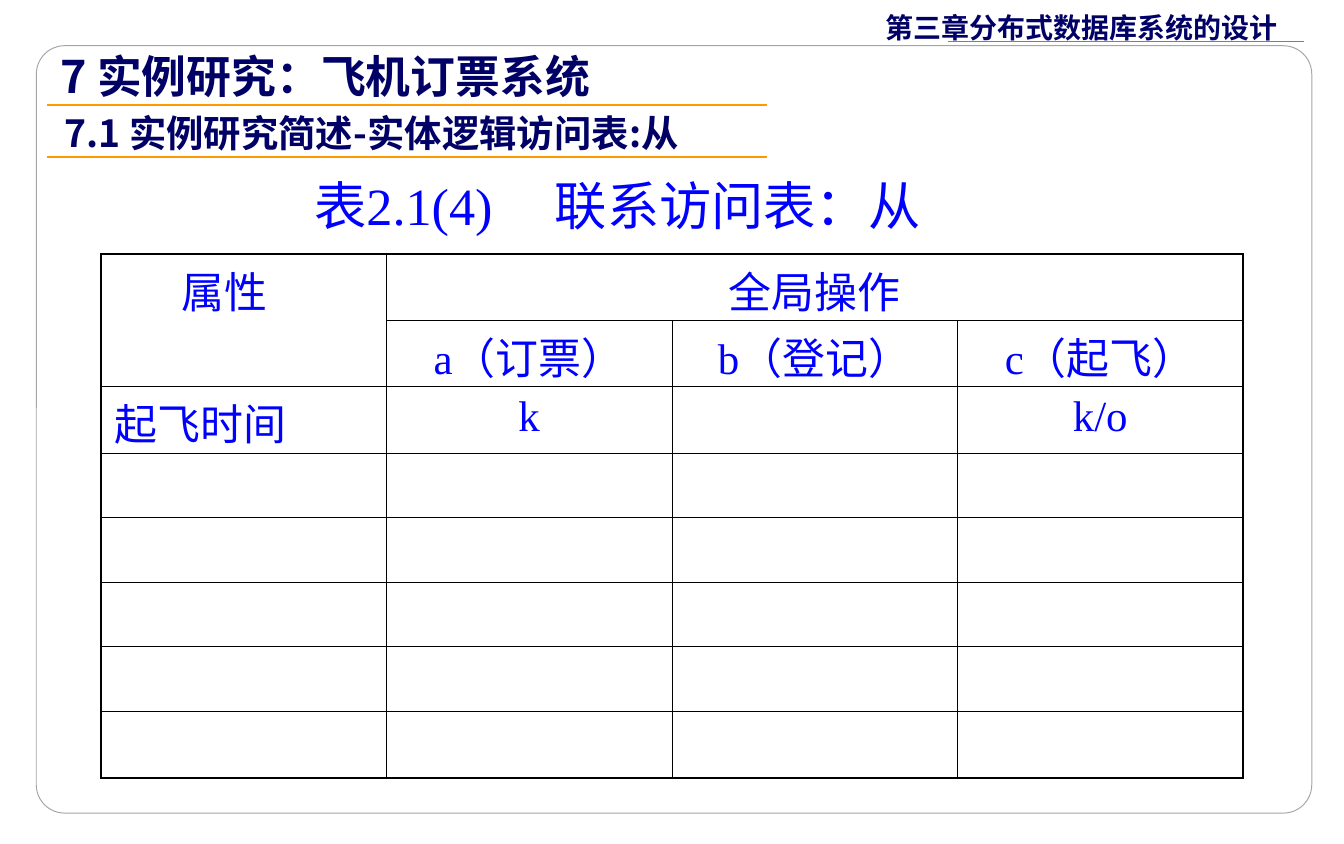
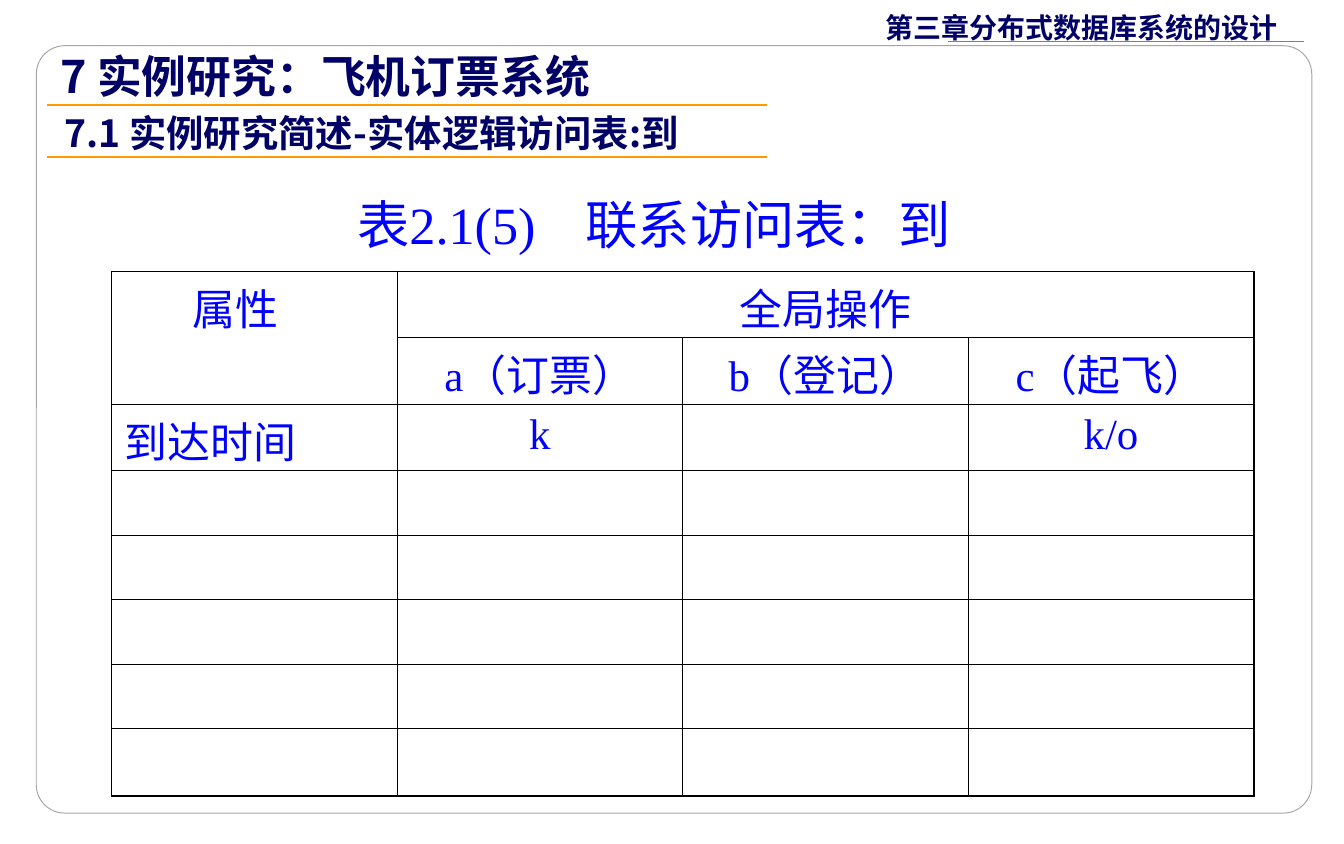
from lxml.etree import SubElement
from pptx import Presentation
from pptx.dml.color import RGBColor
from pptx.enum.shapes import MSO_CONNECTOR, MSO_SHAPE
from pptx.enum.text import MSO_ANCHOR, MSO_AUTO_SIZE, PP_ALIGN
from pptx.oxml.ns import qn
from pptx.util import Inches, Pt

NAVY = RGBColor(0x00, 0x00, 0x66)
BLUE = RGBColor(0x00, 0x00, 0xFF)
ORANGE = RGBColor(0xFF, 0x99, 0x00)
GRAY = RGBColor(0x7F, 0x7F, 0x7F)
SILVER = RGBColor(0xA5, 0xA5, 0xA5)
WHITE = RGBColor(0xFF, 0xFF, 0xFF)
SANS = "Noto Sans CJK SC"
SERIF = "Times New Roman"

ROWS, COLS = 8, 4
HEADS = ["a（订票）", "b（登记）", "c（起飞）"]
MARKS = ["k", "", "k/o"]


def add_run(para, text, size, color, face, bold=False):
    run = para.add_run()
    run.text = text
    font = run.font
    font.size = Pt(size)
    font.bold = bold
    font.name = face
    font.color.rgb = color
    SubElement(run._r.get_or_add_rPr(), qn("a:ea"), typeface=SANS)


def set_frame(shape, box, side=0.1):
    shape.left, shape.top, shape.width, shape.height = map(Inches, box)
    frame = shape.text_frame
    frame.word_wrap = True
    frame.auto_size = MSO_AUTO_SIZE.NONE
    frame.vertical_anchor = MSO_ANCHOR.MIDDLE
    frame.margin_left = frame.margin_right = Inches(side)
    frame.margin_top = frame.margin_bottom = Inches(0.05)
    para = frame.paragraphs[0]
    para.alignment = PP_ALIGN.LEFT
    return para


def add_text(slide, box, side=0.1):
    shape = slide.shapes.add_textbox(*map(Inches, box))
    return set_frame(shape, box, side)


def add_rule(slide, start, end, y, color, width):
    rule = slide.shapes.add_connector(
        MSO_CONNECTOR.STRAIGHT, Inches(start), Inches(y), Inches(end), Inches(y))
    rule.line.color.rgb = color
    rule.line.width = Pt(width)
    SubElement(rule.element.spPr, qn("a:effectLst"))


def add_panel(slide):
    panel = slide.shapes.add_shape(
        MSO_SHAPE.ROUNDED_RECTANGLE, *map(Inches, (0.27, 0.34, 9.49, 5.71)))
    panel.adjustments[0] = 0.037
    panel.shadow.inherit = False
    panel.fill.solid()
    panel.fill.fore_color.rgb = WHITE
    SubElement(panel.element.find(".//" + qn("a:srgbClr")), qn("a:alpha"), val="85000")
    panel.line.color.rgb = SILVER
    panel.line.width = Pt(0.5)


def dress_layout(layout, slide):
    for holder in list(layout.placeholders)[1:]:
        holder.element.getparent().remove(holder.element)
    add_panel(slide)
    para = add_text(slide, (6.5, 0.03, 3.15, 0.34), 0.09)
    add_run(para, "第三章", 15, NAVY, SANS, True)
    add_run(para, "分布式数据库系统的设计", 15, NAVY, SERIF, True)
    add_rule(slide, 9.7, 7.05, 0.31, GRAY, 0.75)
    for shape in list(slide.shapes):
        if not shape.is_placeholder:
            layout.shapes.element.append(shape.element)


def add_titles(slide, name):
    for y in (0.78, 1.17):
        add_rule(slide, 0.35, 5.71, y, ORANGE, 1)
    para = set_frame(slide.shapes.title, (0.35, 0.31, 5, 0.5))
    add_run(para, "7 实例研究：飞机订票系统", 24, NAVY, SANS, True)
    para = add_text(slide, (0.38, 0.77, 5.8, 0.44))
    add_run(para, "7.1 实例研究简述-实体逻辑访问表:" + name, 20, NAVY, SANS, True)


def add_caption(slide, left, top, number, name, stop):
    para = add_text(slide, (left, top, 5.91, 0.52))
    tabs = SubElement(para._p.get_or_add_pPr(), qn("a:tabLst"))
    SubElement(tabs, qn("a:tab"), pos=str(Inches(stop)), algn="l")
    para.line_spacing = 0.9
    add_run(para, f"表{number}\t联系访问表：{name}", 28, BLUE, SERIF)


def set_border(cell, row, col):
    outer = {
        "L": col == 0,
        "R": col + cell.span_width == COLS,
        "T": row == 0,
        "B": row + cell.span_height == ROWS,
    }
    props = cell._tc.get_or_add_tcPr()
    for side, thick in outer.items():
        width = Pt(1.08 if thick else 0.45)
        line = SubElement(props, qn("a:ln" + side), w=str(width))
        fill = SubElement(line, qn("a:solidFill"))
        SubElement(fill, qn("a:srgbClr"), val="000000")


def fill_cell(cell, text, align):
    cell.margin_bottom = 0
    if not text.isascii():
        cell.margin_top = Inches(0.03)
    para = cell.text_frame.paragraphs[0]
    para.alignment = align
    add_run(para, text, 23, BLUE, SERIF)


def add_grid(slide, left, top, label):
    heights = [0.48] * (ROWS - 1) + [0.5]
    table = slide.shapes.add_table(
        ROWS, COLS, Inches(left), Inches(top), Inches(8.5), Inches(sum(heights))).table
    table.first_row = table.horz_banding = False
    for col in table.columns:
        col.width = Inches(8.5 / COLS)
    for row, height in zip(table.rows, heights):
        row.height = Inches(height)
    table.cell(0, 0).merge(table.cell(1, 0))
    table.cell(0, 1).merge(table.cell(0, 3))
    texts = [["属性", "全局操作"], ["", *HEADS], [label, *MARKS]]
    for row in range(ROWS):
        for col in range(COLS):
            cell = table.cell(row, col)
            if not cell.is_spanned:
                set_border(cell, row, col)
            cell.fill.background()
    for row, line in enumerate(texts):
        for col, text in enumerate(line):
            if text:
                align = PP_ALIGN.CENTER if col else PP_ALIGN.LEFT
                fill_cell(table.cell(row, col), text, align)
    table.cell(0, 0).margin_left = Inches(0.6)


def main():
    deck = Presentation()
    deck.slide_width, deck.slide_height = Inches(10), Inches(6.28)
    layout = deck.slide_layouts[5]
    first, second = [deck.slides.add_slide(layout) for _ in range(2)]
    dress_layout(layout, first)

    add_grid(first, 0.75, 1.89, "起飞时间")
    add_caption(first, 2.24, 1.29, "2.1(4)", "从", 1.79)
    add_titles(first, "从")

    add_grid(second, 0.83, 2.02, "到达时间")
    add_caption(second, 2.56, 1.43, "2.1(5)", "到", 1.7)
    add_titles(second, "到")

    deck.save("out.pptx")


if __name__ == "__main__":
    main()
